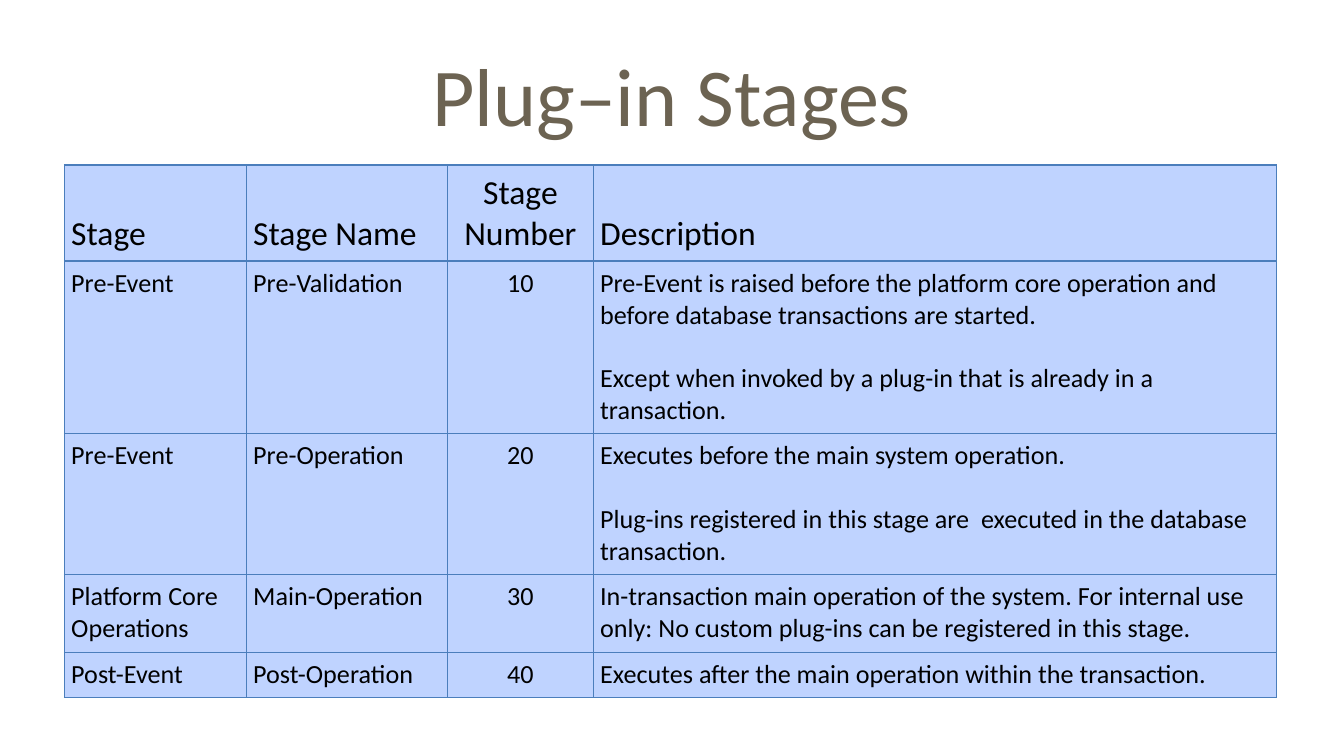
from lxml.etree import SubElement
from pptx import Presentation
from pptx.dml.color import RGBColor
from pptx.enum.text import MSO_ANCHOR, PP_ALIGN
from pptx.oxml.ns import qn
from pptx.util import Pt

PX = 914400 / 134.4
COLORS = {"title": "6C6352", "text": "000000", "cell": "BFD3FF", "border": "4B7EBC"}
FONT = "Calibri"

TITLE = "Plug–in Stages"
# One row per stage; a list in a cell holds its paragraphs.
ROWS = [
    ("Stage", "Stage Name", "Stage Number", "Description"),
    ("Pre-Event", "Pre-Validation", "10", [
        "Pre-Event is raised before the platform core operation and before "
        "database transactions are started.",
        "Except when invoked by a plug-in that is already in a transaction.",
    ]),
    ("Pre-Event", "Pre-Operation", "20", [
        "Executes before the main system operation.",
        "Plug-ins registered in this stage are  executed in the database transaction.",
    ]),
    ("Platform Core Operations", "Main-Operation", "30",
     "In-transaction main operation of the system. For internal use only: "
     "No custom plug-ins can be registered in this stage."),
    ("Post-Event", "Post-Operation", "40",
     "Executes after the main operation within the transaction."),
]
COLUMN_WIDTHS = [182, 201, 146, 683]
ROW_HEIGHTS = [96, 172, 141, 78, 45]
NUMBER_COLUMN = 2
CELL_FORMAT = {"margin_left": px_margin for px_margin in [round(7 * PX)]}
CELL_FORMAT = dict.fromkeys(
    ("margin_left", "margin_top", "margin_right", "margin_bottom"), round(0.05 * 914400))


def px(length):
    return round(length * PX)


def style_font(font, size, color):
    for name, value in {"name": FONT, "size": Pt(size), "bold": False}.items():
        setattr(font, name, value)
    font.color.rgb = RGBColor.from_string(COLORS[color])


def add_borders(cell):
    """Put the four border lines ahead of the cell's fill, as the schema asks."""
    properties = cell._tc.get_or_add_tcPr()
    for index, side in enumerate(("lnL", "lnR", "lnT", "lnB")):
        line = SubElement(properties, qn(f"a:{side}"), w=str(Pt(0.75)))
        fill = SubElement(line, qn("a:solidFill"))
        SubElement(fill, qn("a:srgbClr"), val=COLORS["border"])
        properties.insert(index, line)


def fill_cell(cell, content, is_header, is_number):
    paragraphs = content if isinstance(content, list) else [content]
    cell.text = "\n".join(paragraphs)
    for name, value in CELL_FORMAT.items():
        setattr(cell, name, value)
    cell.vertical_anchor = MSO_ANCHOR.BOTTOM if is_header else MSO_ANCHOR.TOP
    cell.fill.solid()
    cell.fill.fore_color.rgb = RGBColor.from_string(COLORS["cell"])
    add_borders(cell)
    for index, paragraph in enumerate(cell.text_frame.paragraphs):
        paragraph.alignment = PP_ALIGN.CENTER if is_number else PP_ALIGN.LEFT
        if index:
            paragraph.space_before = Pt(17)
        for run in paragraph.runs:
            style_font(run.font, 18 if is_header else 14, "text")


def add_title(slide):
    title = slide.shapes.title
    box = {"left": 67, "top": 31, "width": 1210, "height": 126}
    for name, value in box.items():
        setattr(title, name, px(value))
    title.text = TITLE
    title.text_frame.vertical_anchor = MSO_ANCHOR.MIDDLE
    paragraph = title.text_frame.paragraphs[0]
    paragraph.alignment = PP_ALIGN.CENTER
    style_font(paragraph.runs[0].font, 44, "title")


def add_stage_table(slide):
    frame = slide.shapes.add_table(
        len(ROWS), len(COLUMN_WIDTHS), px(64.5), px(165),
        px(sum(COLUMN_WIDTHS)), px(sum(ROW_HEIGHTS)))
    table = frame.table
    table.first_row = table.horz_banding = False
    for column, width in zip(table.columns, COLUMN_WIDTHS):
        column.width = px(width)
    for row, height in zip(table.rows, ROW_HEIGHTS):
        row.height = px(height)
    for row_index, row in enumerate(ROWS):
        for column_index, content in enumerate(row):
            fill_cell(table.cell(row_index, column_index), content,
                      row_index == 0, column_index == NUMBER_COLUMN)


def main():
    presentation = Presentation()
    presentation.slide_width, presentation.slide_height = px(1344), px(756)
    slide = presentation.slides.add_slide(presentation.slide_layouts[5])
    add_title(slide)
    add_stage_table(slide)
    presentation.save("out.pptx")


if __name__ == "__main__":
    main()
